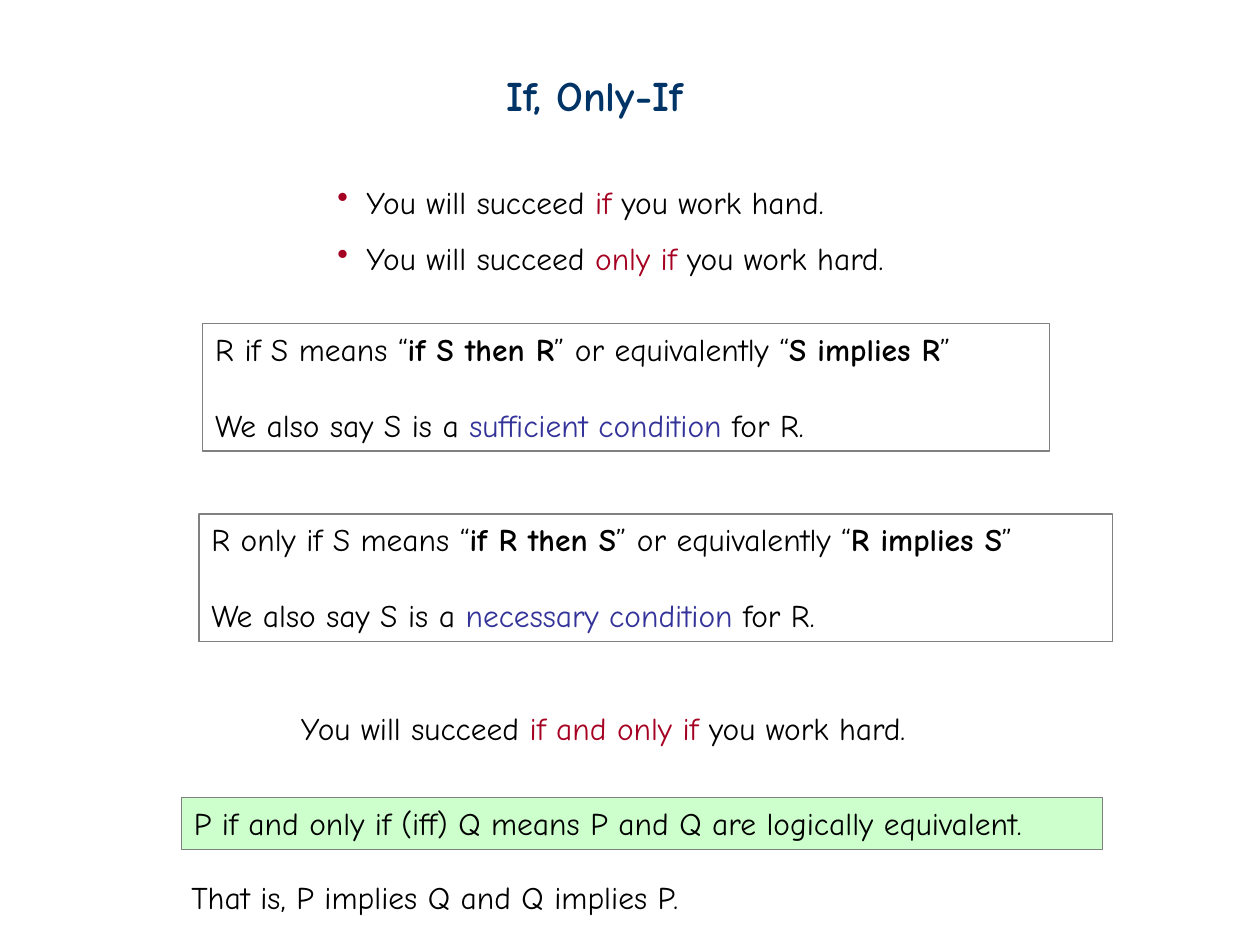
from dataclasses import dataclass

from lxml import etree
from pptx import Presentation
from pptx.dml.color import RGBColor
from pptx.enum import shapes, text
from pptx.oxml import ns
from pptx.util import Inches, Pt


@dataclass(frozen=True)
class Theme:
    """Colours, sizes and font of the slide."""
    font: str = "Comic Neue"
    title_size: int = 24
    body_size: int = 18
    paragraph_gap: float = 21.7
    navy: str = "003366"
    black: str = "000000"
    red: str = "A50021"
    blue: str = "333399"
    grey: str = "808080"
    green: str = "CCFFCC"


THEME = Theme()
BLACK = {"color": THEME.black}
BOLD = {"color": THEME.black, "bold": True}
RED = {"color": THEME.red}
BLUE = {"color": THEME.blue}
TITLE = {"color": THEME.navy, "bold": True, "size": THEME.title_size}


def write_runs(paragraph, runs):
    """Write (words, style) pairs into a paragraph."""
    for words, style in runs:
        run = paragraph.add_run()
        run.text = words
        run.font.color.rgb = RGBColor.from_string(style["color"])
        values = {"name": THEME.font, "size": Pt(style.get("size", THEME.body_size)),
                  "bold": style.get("bold", False)}
        for name, value in values.items():
            setattr(run.font, name, value)


def fill_frame(frame, lines, paragraph_format):
    """Write lines into a top-anchored frame and return its paragraphs."""
    settings = {"word_wrap": True, "auto_size": text.MSO_AUTO_SIZE.NONE,
                "vertical_anchor": text.MSO_ANCHOR.TOP}
    for name, value in settings.items():
        setattr(frame, name, value)
    for index, runs in enumerate(lines):
        paragraph = frame.add_paragraph() if index else frame.paragraphs[0]
        paragraph.alignment = text.PP_ALIGN.LEFT
        for name, value in paragraph_format.items():
            if index or name != "space_before":
                setattr(paragraph, name, value)
        write_runs(paragraph, runs)
    return frame.paragraphs


def add_statement(slide, box, lines, **paragraph_format):
    """Place plain text in the box."""
    label = slide.shapes.add_textbox(*map(Inches, box))
    return fill_frame(label.text_frame, lines, paragraph_format)


def add_examples(slide, box, lines):
    """Place bulleted example sentences in the box."""
    for paragraph in add_statement(slide, box, lines, line_spacing=1.5):
        properties = paragraph._p.get_or_add_pPr()
        properties.set("marL", str(Inches(0.23)))
        properties.set("indent", str(-Inches(0.23)))
        colour = etree.SubElement(properties, ns.qn("a:buClr"))
        etree.SubElement(colour, ns.qn("a:srgbClr"), val=THEME.red)
        etree.SubElement(properties, ns.qn("a:buChar"), char="•")


def add_definition(slide, box, lines, fill=None):
    """Place a framed definition in the box."""
    panel = slide.shapes.add_shape(shapes.MSO_SHAPE.RECTANGLE, *map(Inches, box))
    panel.shadow.inherit = False
    panel.line.color.rgb = RGBColor.from_string(THEME.grey)
    panel.line.width = Pt(0.75)
    if fill:
        panel.fill.solid()
        panel.fill.fore_color.rgb = RGBColor.from_string(fill)
    else:
        panel.fill.background()
    fill_frame(panel.text_frame, lines, {"space_before": Pt(THEME.paragraph_gap)})


def meaning(subject, conditional, implication, condition):
    """Return the two lines that define a conditional."""
    return [
        [(f"{subject} means “", BLACK), (conditional, BOLD),
         ("” or equivalently “", BLACK), (implication, BOLD), ("”", BLACK)],
        [("We also say S is a ", BLACK), (condition, BLUE), (" for R.", BLACK)],
    ]


def success(link, effort="hard"):
    """Return an example sentence with its connective in red."""
    return [("You will succeed ", BLACK), (link, RED), (f" you work {effort}.", BLACK)]


def build_slide(slide):
    """Place every region of the slide."""
    add_statement(slide, (3.92, 0.5, 2.11, 0.5), [[("If, Only-If", TITLE)]])
    add_examples(slide, (2.58, 1.25, 4.76, 1), [success("if", "hand"), success("only if")])
    add_definition(slide, (1.61, 2.57, 6.72, 1.01),
                   meaning("R if S", "if S then R", "S implies R", "sufficient condition"))
    add_definition(slide, (1.58, 4.08, 7.25, 1.01),
                   meaning("R only if S", "if R then S", "R implies S", "necessary condition"))
    add_statement(slide, (2.29, 5.58, 5.41, 0.4), [success("if and only if")])
    equivalence = "P if and only if (iff) Q means P and Q are logically equivalent."
    add_definition(slide, (1.44, 6.33, 7.31, 0.41), [[(equivalence, BLACK)]], THEME.green)
    add_statement(slide, (1.42, 6.92, 4.37, 0.4),
                  [[("That is, P implies Q and Q implies P.", BLACK)]])


def main():
    """Build and save the presentation."""
    deck = Presentation()
    deck.slide_width, deck.slide_height = Inches(10), Inches(7.5)
    build_slide(deck.slides.add_slide(deck.slide_layouts[6]))
    deck.save("out.pptx")


if __name__ == "__main__":
    main()
